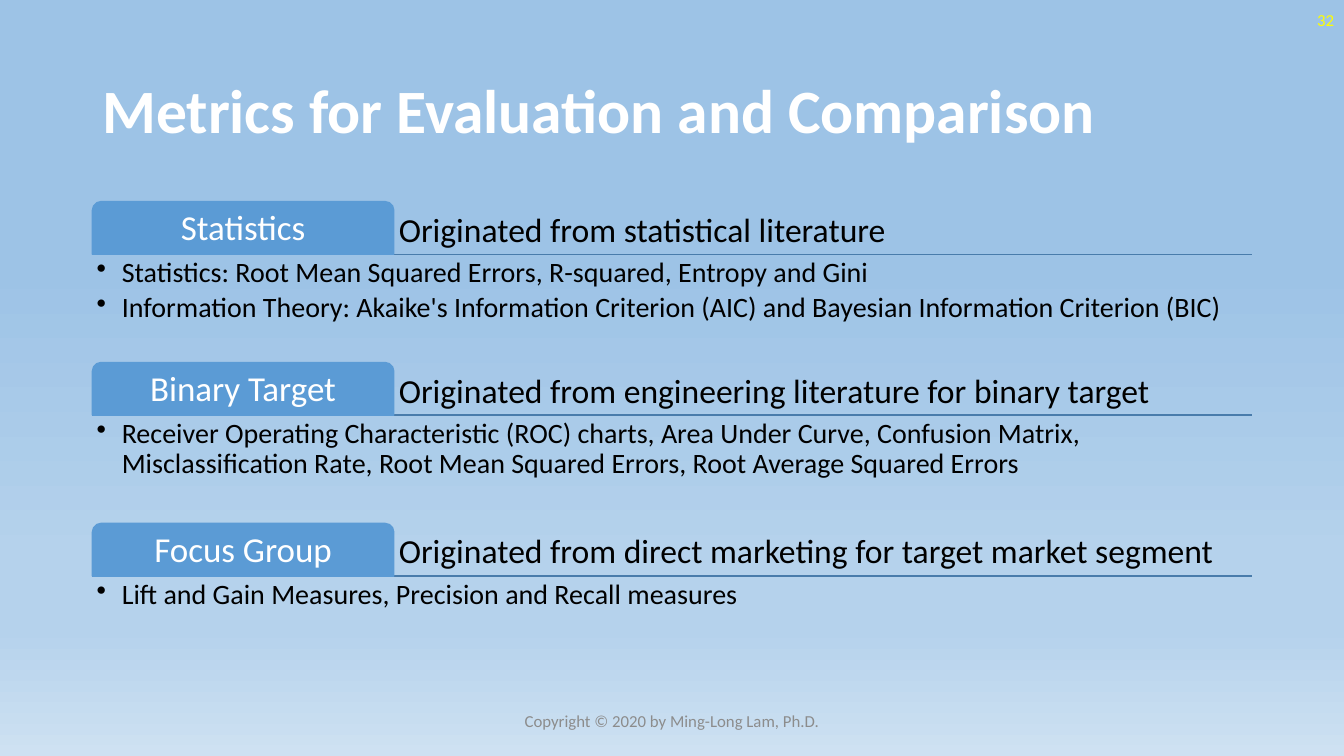
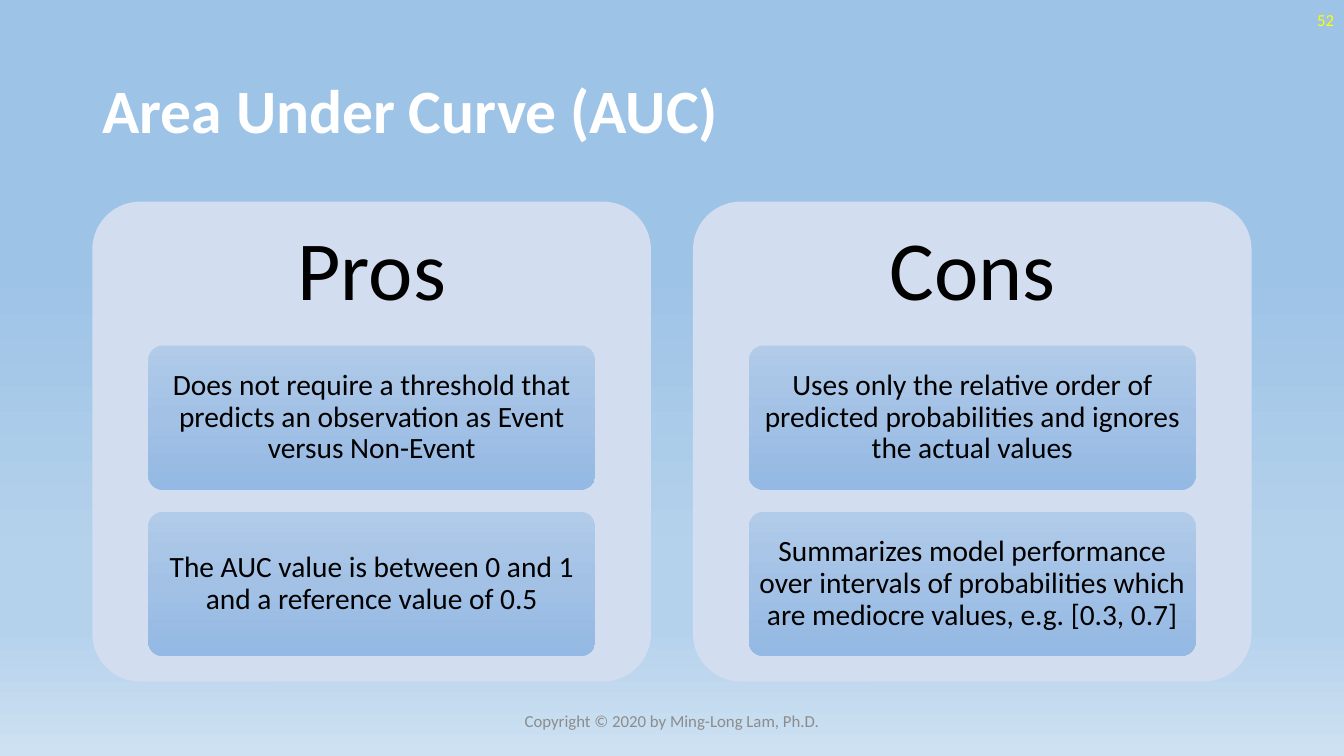
from collections import namedtuple

from lxml import etree
from pptx import Presentation
from pptx import util as u
from pptx.dml import color
from pptx.enum import shapes, text
from pptx.oxml import ns

Box = namedtuple("Box", "left top width height")

FONT = "Calibri"
WHITE, BLACK, YELLOW, GREY = "FFFFFF", "000000", "FFFF00", "8C8C8C"
TAB_BLUE, RULE_BLUE, PANEL_BLUE = "5B9BD5", "497CAB", "D2DEEF"
PAGE_STOPS = [(35, "9DC3E6"), (74, "B5D2EC"), (83, "B5D2EC"), (100, "CEE1F2")]
CARD_STOPS = [(0, "B1CBE9"), (50, "A3C1E5"), (100, "93B9E4")]

PAGE_SIZE = (960, 540)
TITLE_BOX = Box(66, 28.8, 828, 104.4)
CONTENT_BOX = Box(66, 144, 828, 342.8)
NUMBER_BOX = Box(744, 0, 216, 28.8)
FOOTER_BOX = Box(318, 500.6, 324, 28.8)
COPYRIGHT = "Copyright © 2020 by Ming-Long Lam, Ph.D."

LEFT, CENTER, RIGHT = text.PP_ALIGN.LEFT, text.PP_ALIGN.CENTER, text.PP_ALIGN.RIGHT
TOP, MIDDLE, BOTTOM = text.MSO_ANCHOR.TOP, text.MSO_ANCHOR.MIDDLE, text.MSO_ANCHOR.BOTTOM

METRICS = [
    ("Statistics", "Originated from statistical literature", [
        "Statistics: Root Mean Squared Errors, R-squared, Entropy and Gini",
        "Information Theory: Akaike's Information Criterion (AIC) and "
        "Bayesian Information Criterion (BIC)"]),
    ("Binary Target", "Originated from engineering literature for binary target", [
        "Receiver Operating Characteristic (ROC) charts, Area Under Curve, Confusion Matrix, "
        "Misclassification Rate, Root Mean Squared Errors, Root Average Squared Errors"]),
    ("Focus Group", "Originated from direct marketing for target market segment", [
        "Lift and Gain Measures, Precision and Recall measures"]),
]
PROS_AND_CONS = [
    ("Pros", [
        "Does not require a threshold that predicts an observation as Event versus Non-Event",
        "The AUC value is between 0 and 1 and a reference value of 0.5"]),
    ("Cons", [
        "Uses only the relative order of predicted probabilities and ignores the actual values",
        "Summarizes model performance over intervals of probabilities which "
        "are mediocre values, e.g. [0.3, 0.7]"]),
]


def rgb(code):
    """Return the colour for a hex string."""
    return color.RGBColor.from_string(code)


def points(box):
    """Return the four lengths of a box in points."""
    return [u.Pt(length) for length in box]


def paint_gradient(fill, element, stops):
    """Give a fill a top-to-bottom gradient with the given stops."""
    fill.gradient()
    fill.gradient_angle = 270
    stop_list = element.find(".//" + ns.qn("a:gsLst"))
    stop_list.clear()
    for percent, code in stops:
        stop = etree.SubElement(stop_list, ns.qn("a:gs"), pos=str(percent * 1000))
        etree.SubElement(stop, ns.qn("a:srgbClr"), val=code)


def add_bullet(para, indent=18):
    """Give a paragraph a hanging bullet."""
    properties = para._p.get_or_add_pPr()
    properties.set("marL", str(u.Pt(indent)))
    properties.set("indent", str(-u.Pt(indent)))
    etree.SubElement(properties, ns.qn("a:buChar"), char="•")


def write(shape, lines, size, code, align=LEFT, anchor=MIDDLE, insets=(7.2, 3.6),
          bold=False, bullets=False, spacing=0.9, after=0):
    """Fill a shape with formatted paragraphs."""
    frame = shape.text_frame
    frame.text = "\n".join(lines)
    frame.word_wrap = True
    frame.vertical_anchor = anchor
    frame.margin_left = frame.margin_right = u.Pt(insets[0])
    frame.margin_top = frame.margin_bottom = u.Pt(insets[1])
    for para in frame.paragraphs:
        if bullets:
            add_bullet(para)
        para.alignment = align
        para.line_spacing = spacing
        para.space_after = u.Pt(after)
        for span in para.runs:
            span.font.name = FONT
            span.font.size = u.Pt(size)
            span.font.bold = bold
            span.font.color.rgb = rgb(code)


def add_text(page, box, lines, size, code, **style):
    """Add a text box."""
    write(page.shapes.add_textbox(*points(box)), lines, size, code, **style)


def add_block(page, kind, box, adjustment):
    """Add a preset shape without shadow or line."""
    shape = page.shapes.add_shape(kind, *points(box))
    shape.shadow.inherit = False
    shape.adjustments[0] = adjustment
    shape.line.fill.background()
    return shape


def add_rule(page, left, top, width):
    """Add a thin horizontal line."""
    rule = page.shapes.add_connector(
        shapes.MSO_CONNECTOR.STRAIGHT, *points((left, top, left + width, top)))
    rule.line.color.rgb = rgb(RULE_BLUE)
    rule.line.width = u.Pt(1)
    etree.SubElement(rule._element.spPr, ns.qn("a:effectLst"))


def add_page(deck, title, number):
    """Add a slide with the shared background, title, number and footer."""
    page = deck.slides.add_slide(deck.slide_layouts[6])
    paint_gradient(page.background.fill, page.element, PAGE_STOPS)
    add_text(page, TITLE_BOX, [title], 44, WHITE, bold=True)
    add_text(page, NUMBER_BOX, [str(number)], 12, YELLOW, align=RIGHT, spacing=1.0)
    add_text(page, FOOTER_BOX, [COPYRIGHT], 12, GREY, align=CENTER, spacing=1.0)
    return page


def add_metric(page, box, name, origin, items):
    """Add a tab with its origin, a rule and a bullet list."""
    tab_width, tab_height = box.width * 0.26, box.height / 3
    rule_top = box.top + tab_height
    add_rule(page, box.left, rule_top, box.width)
    origin_box = Box(box.left + tab_width, box.top, box.width - tab_width, tab_height)
    add_text(page, origin_box, [origin], 24, BLACK, anchor=BOTTOM, insets=(3.6, 3.6))
    tab = add_block(page, shapes.MSO_SHAPE.ROUND_2_SAME_RECTANGLE,
                    Box(box.left, box.top, tab_width, tab_height), 0.167)
    tab.fill.solid()
    tab.fill.fore_color.rgb = rgb(TAB_BLUE)
    tab.line.color.rgb = rgb(TAB_BLUE)
    tab.line.width = u.Pt(1)
    write(tab, [name], 25, WHITE, align=CENTER, insets=(3.6, 3.6))
    list_box = Box(box.left, rule_top, box.width, box.height - tab_height)
    add_text(page, list_box, items, 20, BLACK, anchor=TOP, insets=(3, 3), bullets=True, after=3)


def add_panel(page, box, heading, cards):
    """Add a rounded panel with a heading above stacked cards."""
    panel = add_block(page, shapes.MSO_SHAPE.ROUNDED_RECTANGLE, box, 0.1)
    panel.fill.solid()
    panel.fill.fore_color.rgb = rgb(PANEL_BLUE)
    band = box.height * 0.3
    add_text(page, Box(box.left, box.top, box.width, band), [heading], 60, BLACK,
             align=CENTER, insets=(18, 18))
    for index, line in enumerate(cards):
        card_box = Box(box.left + box.width * 0.1, box.top + band + index * (band + 16),
                       box.width * 0.8, band)
        card = add_block(page, shapes.MSO_SHAPE.ROUNDED_RECTANGLE, card_box, 0.1)
        paint_gradient(card.fill, card._element, CARD_STOPS)
        write(card, [line], 21, BLACK, align=CENTER, insets=(4, 3))


def build_metrics(deck):
    """Build the slide of metric groups."""
    page = add_page(deck, "Metrics for Evaluation and Comparison", 32)
    gap = 2
    height = (CONTENT_BOX.height - gap * (len(METRICS) - 1)) / len(METRICS)
    for index, metric in enumerate(METRICS):
        top = CONTENT_BOX.top + index * (height + gap)
        add_metric(page, CONTENT_BOX._replace(top=top, height=height), *metric)


def build_pros_and_cons(deck):
    """Build the slide that weighs pros against cons."""
    page = add_page(deck, "Area Under Curve (AUC)", 52)
    gap = 30
    width = (CONTENT_BOX.width - gap) / len(PROS_AND_CONS)
    for index, side in enumerate(PROS_AND_CONS):
        left = CONTENT_BOX.left + index * (width + gap)
        add_panel(page, CONTENT_BOX._replace(left=left, width=width), *side)


def main():
    """Build and save the deck."""
    deck = Presentation()
    deck.slide_width, deck.slide_height = points(PAGE_SIZE)
    build_metrics(deck)
    build_pros_and_cons(deck)
    deck.save("out.pptx")


if __name__ == "__main__":
    main()
